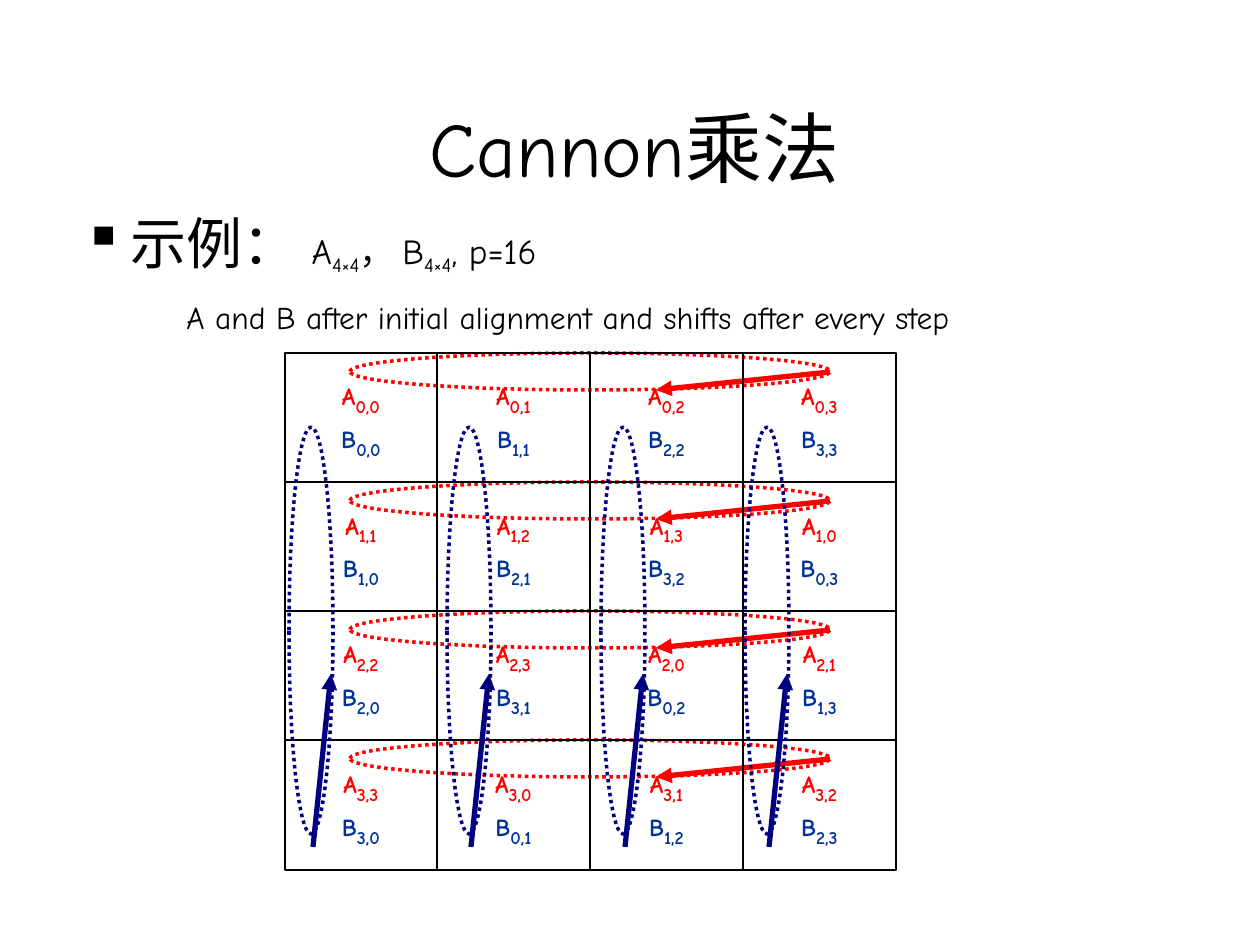
from lxml.etree import SubElement
from pptx import Presentation
from pptx.dml.color import RGBColor
from pptx.enum.dml import MSO_LINE
from pptx.enum.shapes import MSO_CONNECTOR, MSO_SHAPE
from pptx.enum.text import MSO_ANCHOR, PP_ALIGN
from pptx.oxml.ns import qn
from pptx.util import Emu, Pt

EMU_PER_PX = 914400 / 126
BLACK = RGBColor(0, 0, 0)
RED = RGBColor(0xFF, 0, 0)
BLUE = RGBColor(0, 0x33, 0x99)
NAVY = RGBColor(0, 0, 0x80)
LATIN_FONT = "Comic Neue"
CJK_FONT = "Noto Sans CJK JP"

SIZE = 4
GRID_LEFT, GRID_TOP, GRID_WIDTH, GRID_HEIGHT = 285, 353, 611, 517
COLUMN_LOOP_LEFTS = (289, 447, 601, 745)


def px(length):
    return Emu(round(length * EMU_PER_PX))


def column_left(column):
    return GRID_LEFT + GRID_WIDTH * column // SIZE


def row_top(row):
    return GRID_TOP + GRID_HEIGHT * row // SIZE


def add_run(paragraph, text, size, color=BLACK, font=LATIN_FONT, bold=False, subscript=False):
    run = paragraph.add_run()
    run.text = text
    run.font.size = Pt(size)
    run.font.name = font
    run.font.bold = bold
    run.font.color.rgb = color
    properties = run._r.get_or_add_rPr()
    if subscript:
        properties.set("baseline", "-25000")
    east_asian = SubElement(properties, qn("a:ea"))
    east_asian.set("typeface", CJK_FONT)


def add_text_box(slide, left, top, width, height, anchor=MSO_ANCHOR.TOP):
    """Add a wrapping text box and return its text frame."""
    frame = slide.shapes.add_textbox(px(left), px(top), px(width), px(height)).text_frame
    frame.word_wrap = True
    frame.vertical_anchor = anchor
    return frame


def add_outline(slide, kind, left, top, width, height, color, line_width):
    """Add an unfilled preset shape."""
    shape = slide.shapes.add_shape(kind, px(left), px(top), px(width), px(height))
    shape.shadow.inherit = False
    shape.fill.background()
    shape.line.color.rgb = color
    shape.line.width = Pt(line_width)
    return shape


def add_loop(slide, left, top, width, height, color):
    """Add a dotted ellipse that marks a cyclic shift."""
    ellipse = add_outline(slide, MSO_SHAPE.OVAL, left, top, width, height, color, 2)
    ellipse.line.dash_style = MSO_LINE.ROUND_DOT


def add_arrow(slide, start, end, color):
    connector = slide.shapes.add_connector(
        MSO_CONNECTOR.STRAIGHT, *(px(value) for value in start + end))
    connector.line.color.rgb = color
    connector.line.width = Pt(3)
    SubElement(connector.line._get_or_add_ln(), qn("a:tailEnd")).set("type", "triangle")
    SubElement(connector._element.spPr, qn("a:effectLst"))


def add_title(slide):
    frame = add_text_box(slide, 94, 94, 1081, 105, MSO_ANCHOR.BOTTOM)
    paragraph = frame.paragraphs[0]
    paragraph.alignment = PP_ALIGN.CENTER
    add_run(paragraph, "Cannon乘法", 44)


def add_example_line(slide):
    frame = add_text_box(slide, 74, 204, 1121, 185)
    frame.margin_left = frame.margin_right = px(9)
    frame.margin_top = frame.margin_bottom = px(4)
    paragraph = frame.paragraphs[0]
    properties = paragraph._p.get_or_add_pPr()
    properties.set("marL", str(px(48)))
    properties.set("indent", str(-px(48)))
    SubElement(properties, qn("a:buChar")).set("char", "▪")
    add_run(paragraph, "示例： ", 32, font=CJK_FONT)
    for text, subscript in (("A", False), ("4×4", True), ("， B", False),
                            ("4×4", True), (", p=16", False)):
        add_run(paragraph, text, 20, subscript=subscript)


def add_caption(slide):
    frame = add_text_box(slide, 174, 292, 922, 50)
    add_run(frame.paragraphs[0],
            "A and B after initial alignment and shifts after every step", 18)


def add_row_shift(slide, row):
    top = row_top(row)
    add_loop(slide, 350, top, 480, 37, RED)
    add_arrow(slide, (830, top + 19), (656, top + 37), RED)


def add_column_shift(slide, left):
    add_loop(slide, left, 427, 44, 407, NAVY)
    add_arrow(slide, (left + 24, 847), (left + 42, 674), NAVY)


def add_cell(slide, row, column):
    """Add one process with the blocks it holds after the initial alignment."""
    left, top = column_left(column), row_top(row)
    cell = add_outline(slide, MSO_SHAPE.RECTANGLE, left, top,
                       column_left(column + 1) - left, row_top(row + 1) - top, BLACK, 0.75)
    frame = cell.text_frame
    frame.word_wrap = False
    frame.vertical_anchor = MSO_ANCHOR.MIDDLE
    shifted = (row + column) % SIZE
    blocks = (("A", f"{row},{shifted}", RED), ("B", f"{shifted},{column}", BLUE))
    for paragraph, (matrix, index, color) in zip(
            (frame.paragraphs[0], frame.add_paragraph()), blocks):
        paragraph.alignment = PP_ALIGN.CENTER
        add_run(paragraph, matrix, 14, color, bold=True)
        add_run(paragraph, index, 18, color, bold=True, subscript=True)


def main():
    presentation = Presentation()
    presentation.slide_width, presentation.slide_height = px(1260), px(945)
    slide = presentation.slides.add_slide(presentation.slide_layouts[6])
    add_title(slide)
    add_example_line(slide)
    for row in range(SIZE):
        add_row_shift(slide, row)
    add_caption(slide)
    for column in range(SIZE):
        for row in range(SIZE):
            add_cell(slide, row, column)
    for left in COLUMN_LOOP_LEFTS:
        add_column_shift(slide, left)
    presentation.save("out.pptx")


if __name__ == "__main__":
    main()
